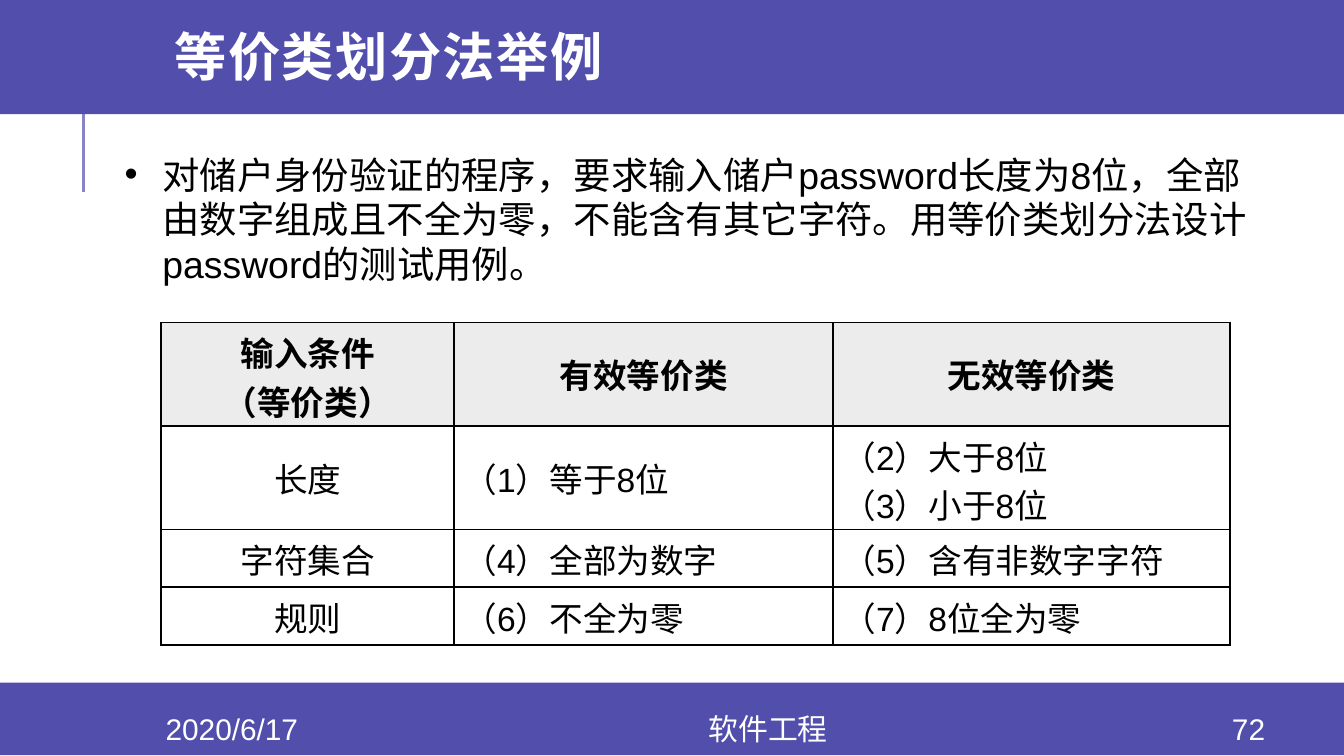
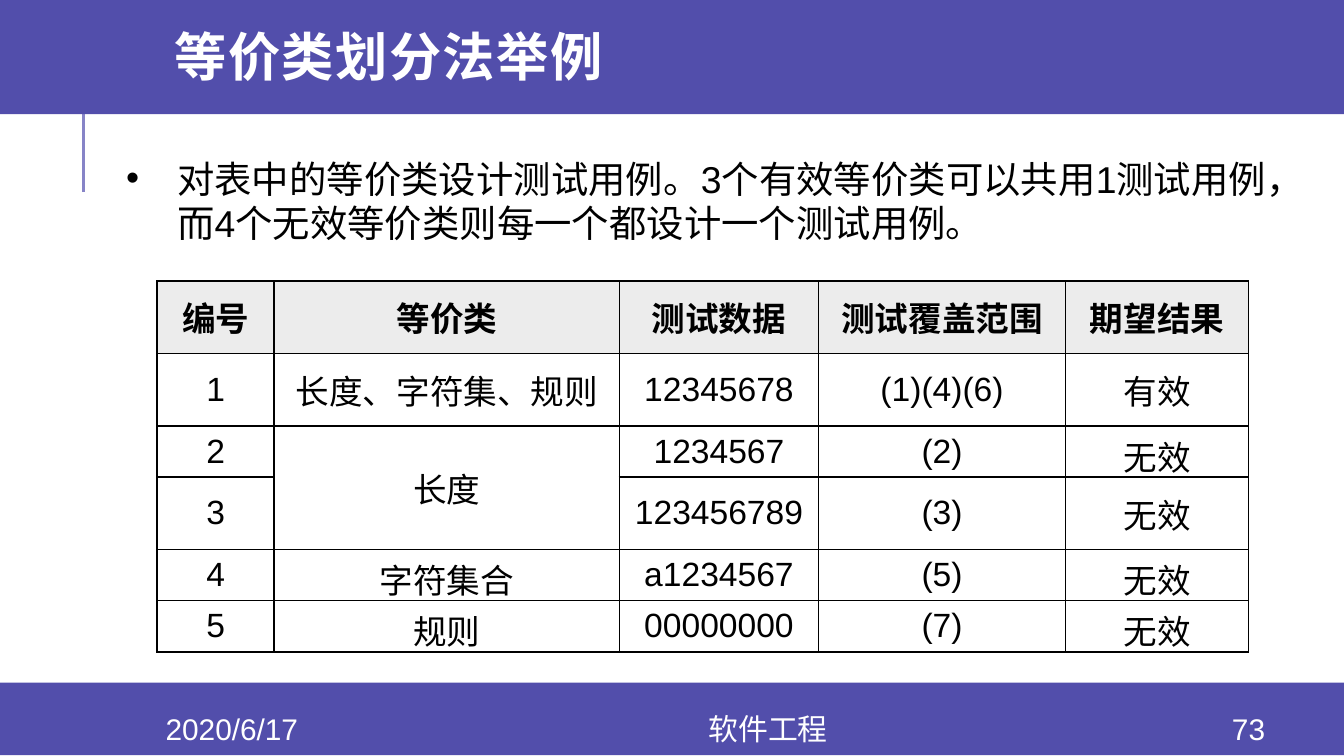
from dataclasses import dataclass
from lxml.etree import SubElement
from pptx import Presentation
from pptx.dml.color import RGBColor as Rgb
from pptx.enum.shapes import MSO_CONNECTOR as Line, MSO_SHAPE as Shape
from pptx.enum.text import MSO_ANCHOR as Anchor, MSO_AUTO_SIZE as Auto, PP_ALIGN as Align
from pptx.oxml.ns import qn
from pptx.util import Inches, Pt


@dataclass(frozen=True)
class Theme:
    band: str = "524EAB"
    rule: str = "8784C7"
    head: str = "E6E6E6"
    ink: str = "000000"
    white: str = "FFFFFF"
    face: str = "Arial"
    bold: str = "Montserrat"
    title: int = 28
    body: int = 20
    cell: int = 18
    foot: int = 16


class Deck:
    def __init__(self, theme):
        self.theme = theme
        self.file = Presentation()
        self.file.slide_width = Inches(10)
        self.file.slide_height = Inches(10) * 9 // 16
        self.slide = None

    def style(self, para, size, color, bold=False, face=None):
        for run in para.runs:
            font = run.font
            font.name = face or self.theme.face
            font.size = Pt(size)
            font.bold = bold
            font.color.rgb = Rgb.from_string(color)

    def page(self, title, num):
        self.slide = self.file.slides.add_slide(self.file.slide_layouts[5])
        self.rule(0.62, 1.43, 0.68)
        self.band(5.08, 0.54)
        self.band(-0.03, 0.88)
        self.title(title)
        self.foot(0.84, 1.77, "2020/6/17")
        self.foot(2.61, 6.21, "软件工程")
        self.foot(8.89, 0.8, str(num))

    def rule(self, x, start, end):
        line = self.slide.shapes.add_connector(
            Line.STRAIGHT, Inches(x), Inches(start), Inches(x), Inches(end))
        line.line.color.rgb = Rgb.from_string(self.theme.rule)
        line.line.width = Pt(1.5)
        SubElement(line._element.spPr, qn("a:effectLst"))

    def band(self, top, height):
        band = self.slide.shapes.add_shape(
            Shape.RECTANGLE, 0, Inches(top), self.file.slide_width, Inches(height))
        band.shadow.inherit = False
        band.fill.solid()
        band.fill.fore_color.rgb = Rgb.from_string(self.theme.band)
        band.line.fill.background()

    def title(self, text):
        title = self.slide.shapes.title
        title.left, title.top = Inches(1.2), Inches(0)
        title.width, title.height = Inches(8.49), Inches(0.91)
        self.slide.shapes._spTree.append(title._element)
        frame = title.text_frame
        frame.text = text
        frame.auto_size = Auto.NONE
        frame.vertical_anchor = Anchor.MIDDLE
        para = frame.paragraphs[0]
        para.alignment = Align.LEFT
        para.line_spacing = 0.8
        self.style(para, self.theme.title, self.theme.white, True, self.theme.bold)
        para.runs[0].font._element.set("spc", "80")

    def text(self, left, top, width, height, text):
        box = self.slide.shapes.add_textbox(
            Inches(left), Inches(top), Inches(width), Inches(height))
        frame = box.text_frame
        frame.word_wrap = True
        frame.text = text
        return frame

    def foot(self, left, width, text):
        frame = self.text(left, 5.31, width, 0.23, text)
        frame.vertical_anchor = Anchor.MIDDLE
        para = frame.paragraphs[0]
        para.alignment = Align.CENTER
        self.style(para, self.theme.foot, self.theme.white)

    def bullet(self, left, top, width, height, dent, text):
        frame = self.text(left, top, width, height, text)
        frame.auto_size = Auto.SHAPE_TO_FIT_TEXT
        para = frame.paragraphs[0]
        props = para._p.get_or_add_pPr()
        props.set("marL", str(Inches(dent)))
        props.set("indent", str(-Inches(dent)))
        SubElement(props, qn("a:buFont"), typeface=self.theme.face)
        SubElement(props, qn("a:buChar"), char="•")
        self.style(para, self.theme.body, self.theme.ink)

    def table(self, left, top, cols, rows, data, flush=()):
        frame = self.slide.shapes.add_table(
            len(rows), len(cols), Inches(left), Inches(top),
            Inches(sum(cols)), Inches(sum(rows)))
        grid = frame.table
        grid.horz_banding = False
        for col, width in zip(grid.columns, cols):
            col.width = Inches(width)
        for row, height in zip(grid.rows, rows):
            row.height = Inches(height)
        for r, line in enumerate(data):
            for c, text in enumerate(line):
                left_side = r > 0 and c in flush
                self.cell(grid.cell(r, c), text, r == 0,
                          Align.LEFT if left_side else Align.CENTER)
        return grid

    def cell(self, cell, text, head, align):
        cell.margin_left = cell.margin_right = Inches(0.07)
        cell.margin_top = cell.margin_bottom = Inches(0.04)
        cell.vertical_anchor = Anchor.MIDDLE
        cell.text_frame.text = text
        for para in cell.text_frame.paragraphs:
            para.alignment = align
            self.style(para, self.theme.cell, self.theme.ink, head)
        self.edge(cell)
        if head:
            cell.fill.solid()
            cell.fill.fore_color.rgb = Rgb.from_string(self.theme.head)
            tint = cell._tc.tcPr.find(qn("a:solidFill"))[0]
            SubElement(tint, qn("a:alpha"), val="72000")
        else:
            cell.fill.background()

    def edge(self, cell):
        props = cell._tc.get_or_add_tcPr()
        for side in ("lnL", "lnR", "lnT", "lnB"):
            line = SubElement(props, qn(f"a:{side}"), w=str(Pt(1)))
            fill = SubElement(line, qn("a:solidFill"))
            SubElement(fill, qn("a:srgbClr"), val=self.theme.ink)


def main():
    deck = Deck(Theme())
    title = "等价类划分法举例"

    deck.page(title, 72)
    deck.bullet(0.83, 1.08, 8.6, 1.11, 0.28,
                "对储户身份验证的程序，要求输入储户password长度为8位，"
                "全部由数字组成且不全为零，不能含有其它字符。"
                "用等价类划分法设计password的测试用例。")
    deck.table(1.2, 2.4, (2.18, 2.82, 2.95), (0.77, 0.77, 0.43, 0.43), (
        ("输入条件\n（等价类）", "有效等价类", "无效等价类"),
        ("长度", "（1）等于8位", "（2）大于8位\n（3）小于8位"),
        ("字符集合", "（4）全部为数字", "（5）含有非数字字符"),
        ("规则", "（6）不全为零", "（7）8位全为零"),
    ), flush=(1, 2))

    deck.page(title, 73)
    deck.bullet(0.84, 1.11, 8.85, 0.77, 0.38,
                "对表中的等价类设计测试用例。3个有效等价类可以共用1测试用例，"
                "而4个无效等价类则每一个都设计一个测试用例。")
    tall, low = 0.54, 0.33
    grid = deck.table(
        1.17, 2.09, (0.87, 2.57, 1.48, 1.84, 1.36),
        (tall, tall, low, tall, low, low), (
            ("编号", "等价类", "测试数据", "测试覆盖范围", "期望结果"),
            ("1", "长度、字符集、规则", "12345678", "(1)(4)(6)", "有效"),
            ("2", "长度", "1234567", "(2)", "无效"),
            ("3", "", "123456789", "(3)", "无效"),
            ("4", "字符集合", "a1234567", "(5)", "无效"),
            ("5", "规则", "00000000", "(7)", "无效"),
        ))
    grid.cell(2, 1).merge(grid.cell(3, 1))

    deck.file.save("out.pptx")


if __name__ == "__main__":
    main()
